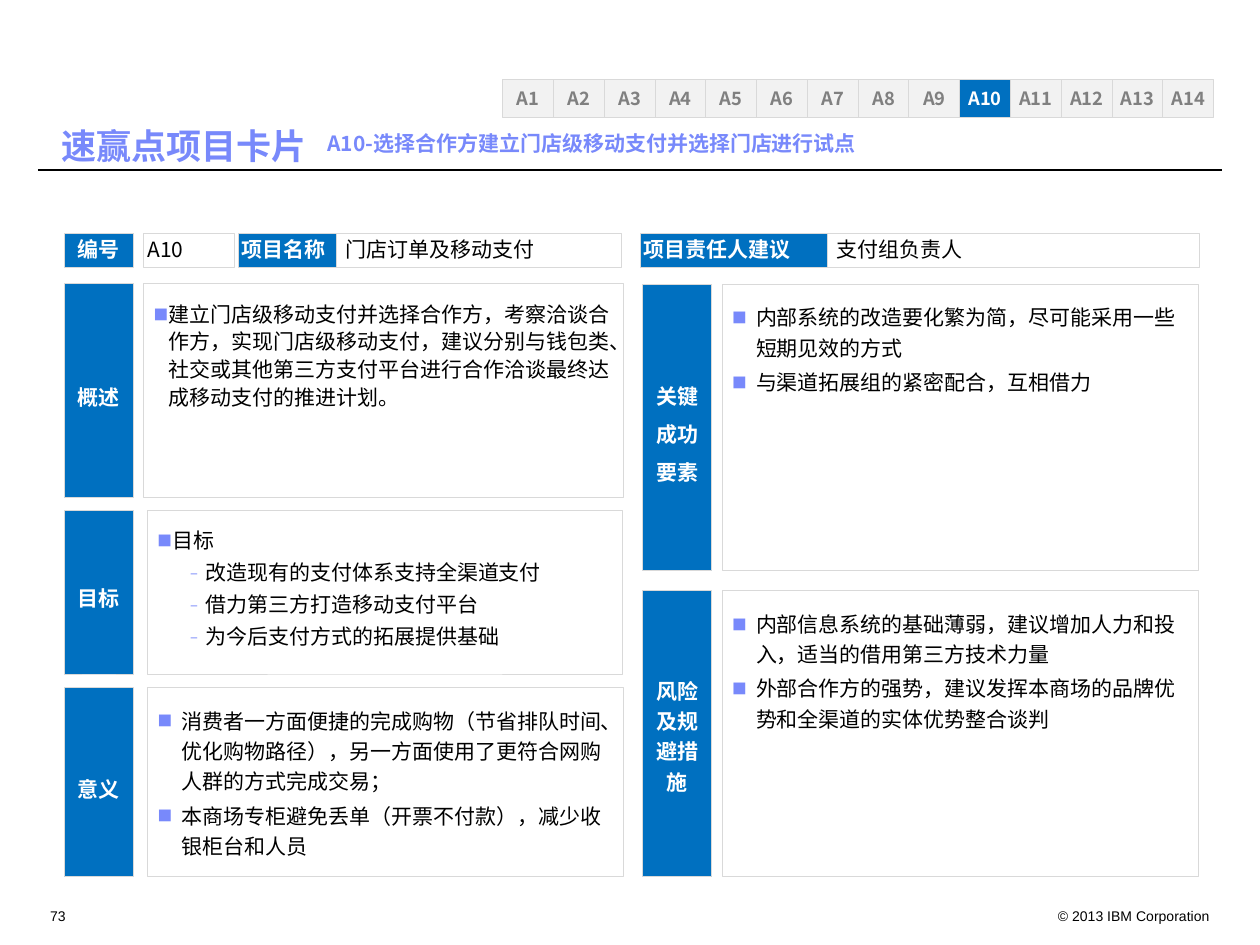
from pptx import Presentation
from pptx.util import Inches, Pt
from pptx.dml.color import RGBColor
from pptx.enum.shapes import MSO_SHAPE, MSO_CONNECTOR
from pptx.enum.text import PP_ALIGN, MSO_ANCHOR
from pptx.oxml.ns import qn
from lxml import etree

RECT, LINE = MSO_SHAPE.RECTANGLE, MSO_CONNECTOR.STRAIGHT
LEFT, MID, RIGHT = PP_ALIGN.LEFT, PP_ALIGN.CENTER, PP_ALIGN.RIGHT
TOP, CORE = MSO_ANCHOR.TOP, MSO_ANCHOR.MIDDLE

W, H = 10, 7.5
HAN, SANS = "Noto Sans CJK SC", "Arial"
BLUE, LILAC, WHITE, BLACK = "0070C0", "7889FB", "FFFFFF", "000000"
EDGE, PALE, GREY = "D9D9D9", "F2F2F2", "808080"
THIN = (0.03,) * 4
BODY = (0.08, 0.12, 0.08, 0.03)
WIDE = (0.1, 0.05, 0.1, 0.05)
VALUE = (0.07, 0.03, 0.03, 0.03)
MARKS = ("■", "–")

TABS, LIVE = 14, 10
TAB_X, TAB_Y, TAB_W, TAB_H = 3.99, 0.63, 0.403, 0.3

COL_A, COL_B, TAG_W = 0.51, 5.1, 0.55
HEAD_Y, HEAD_H = 1.85, 0.27
HEADS = [
    ("编号", COL_A, TAG_W, True, MID, THIN),
    ("A10", 1.14, 0.72, False, LEFT, THIN),
    ("项目名称", 1.89, 0.78, True, LEFT, THIN),
    ("门店订单及移动支付", 2.67, 2.26, False, LEFT, VALUE),
    ("项目责任人建议", 5.08, 1.49, True, LEFT, THIN),
    ("支付组负责人", 6.57, 2.95, False, LEFT, VALUE),
]

CARDS = [
    ("概述", 1.5, COL_A, 2.25, 1.7, 1.14, 3.81, 1.1, 0.12, [
        (0, "建立门店级移动支付并选择合作方，考察洽谈合作方，实现门店级移动支付，"
            "建议分别与钱包类、社交或其他第三方支付平台进行合作洽谈最终达成移动支付的推进计划。"),
    ]),
    ("目标", 1.5, COL_A, 4.05, 1.3, 1.17, 3.77, 1.1, 0.12, [
        (0, "目标"),
        (1, "改造现有的支付体系支持全渠道支付"),
        (1, "借力第三方打造移动支付平台"),
        (1, "为今后支付方式的拓展提供基础"),
    ]),
    ("意义", 1.5, COL_A, 5.46, 1.5, 1.17, 3.78, 1.2, 0.19, [
        (0, "消费者一方面便捷的完成购物（节省排队时间、优化购物路径），"
            "另一方面使用了更符合网购人群的方式完成交易；"),
        (0, "本商场专柜避免丢单（开票不付款），减少收银柜台和人员"),
    ]),
    ("关键成功要素", 1.5, COL_B, 2.26, 2.27, 5.73, 3.78, 1.2, 0.19, [
        (0, "内部系统的改造要化繁为简，尽可能采用一些短期见效的方式"),
        (0, "与渠道拓展组的紧密配合，互相借力"),
    ]),
    ("风险及规避措施", 1.2, COL_B, 4.69, 2.27, 5.73, 3.78, 1.2, 0.19, [
        (0, "内部信息系统的基础薄弱，建议增加人力和投入，适当的借用第三方技术力量"),
        (0, "外部合作方的强势，建议发挥本商场的品牌优势和全渠道的实体优势整合谈判"),
    ]),
]

NOTES = [
    ("速赢点项目卡片", 0.39, 0.94, 2.17, 0.44, 20, HAN, LILAC, True, LEFT, False),
    ("A10-选择合作方建立门店级移动支付并选择门店进行试点",
     2.5, 0.99, 5.19, 0.34, 12, HAN, LILAC, True, LEFT, False),
    ("73", 0.3, 7.15, 0.4, 0.2, 8, SANS, BLACK, False, LEFT, True),
    ("© 2013 IBM Corporation", 8.2, 7.15, 1.5, 0.2, 8, SANS, BLACK, False, RIGHT, True),
]


def tint(code):
    return RGBColor.from_string(code)


def write(para, text, size, face, ink, bold):
    run = para.add_run()
    run.text = text
    font = run.font
    font.size, font.name, font.bold = Pt(size), face, bold
    font.color.rgb = tint(ink)
    etree.SubElement(run._r.get_or_add_rPr(), qn("a:ea"), typeface=face)


def frame(shape, pads, anchor, wrap=True):
    area = shape.text_frame
    area.word_wrap, area.vertical_anchor = wrap, anchor
    area.margin_left, area.margin_top, area.margin_right, area.margin_bottom = map(Inches, pads)
    return area


def panel(x, y, w, h, fill, pads, anchor):
    shape = slide.shapes.add_shape(RECT, *map(Inches, (x, y, w, h)))
    shape.shadow.inherit = False
    shape.fill.solid()
    shape.fill.fore_color.rgb = tint(fill)
    shape.line.color.rgb = tint(EDGE)
    shape.line.width = Pt(0.5)
    return frame(shape, pads, anchor)


def label(area, text, size, ink, bold, align, space=1.0):
    para = area.paragraphs[0]
    para.alignment, para.line_spacing = align, space
    write(para, text, size, HAN, ink, bold)


def bullet(para, level, indent):
    hang = 0.12 if level else indent
    left = 0.38 if level else indent
    props = para._p.get_or_add_pPr()
    props.set("marL", str(Inches(left)))
    props.set("indent", str(-Inches(hang)))
    color = etree.SubElement(props, qn("a:buClr"))
    etree.SubElement(color, qn("a:srgbClr"), val=LILAC)
    etree.SubElement(props, qn("a:buSzPct"), val="70000")
    etree.SubElement(props, qn("a:buFont"), typeface=HAN)
    etree.SubElement(props, qn("a:buChar"), char=MARKS[level])


def items(area, rows, space, indent):
    for i, (level, text) in enumerate(rows):
        para = area.add_paragraph() if i else area.paragraphs[0]
        para.level, para.alignment, para.line_spacing = level, LEFT, space
        para.space_before = Pt(2.5 if i else 0)
        bullet(para, level, indent)
        write(para, text, 12, HAN, BLACK, False)


deck = Presentation()
deck.slide_width, deck.slide_height = Inches(W), Inches(H)
slide = deck.slides.add_slide(deck.slide_layouts[6])

rule = slide.shapes.add_connector(LINE, *map(Inches, (0.03 * W, 0.18 * H, 0.97 * W, 0.18 * H)))
rule.line.color.rgb = tint(BLACK)
rule.line.width = Pt(0.75)
etree.SubElement(rule._element.spPr, qn("a:effectLst"))

for text, x, y, w, h, size, face, ink, bold, align, wrap in NOTES:
    box = slide.shapes.add_textbox(*map(Inches, (x, y, w, h)))
    para = frame(box, WIDE, TOP, wrap).paragraphs[0]
    para.alignment = align
    write(para, text, size, face, ink, bold)

for n in range(1, TABS + 1):
    live = n == LIVE
    area = panel(TAB_X + (n - 1) * TAB_W, TAB_Y, TAB_W, TAB_H, BLUE if live else PALE, THIN, CORE)
    label(area, f"A{n}", 10.5, WHITE if live else GREY, True, MID)

for text, x, w, tag, align, pads in HEADS:
    area = panel(x, HEAD_Y, w, HEAD_H, BLUE if tag else WHITE, pads, TOP)
    label(area, text, 12, WHITE if tag else BLACK, tag, align)

for name, lead, x, y, h, left, w, space, indent, rows in CARDS:
    label(panel(x, y, TAG_W, h, BLUE, THIN, CORE), name, 12, WHITE, True, MID, lead)
    items(panel(left, y, w, h, WHITE, BODY, TOP), rows, space, indent)

deck.save("out.pptx")
